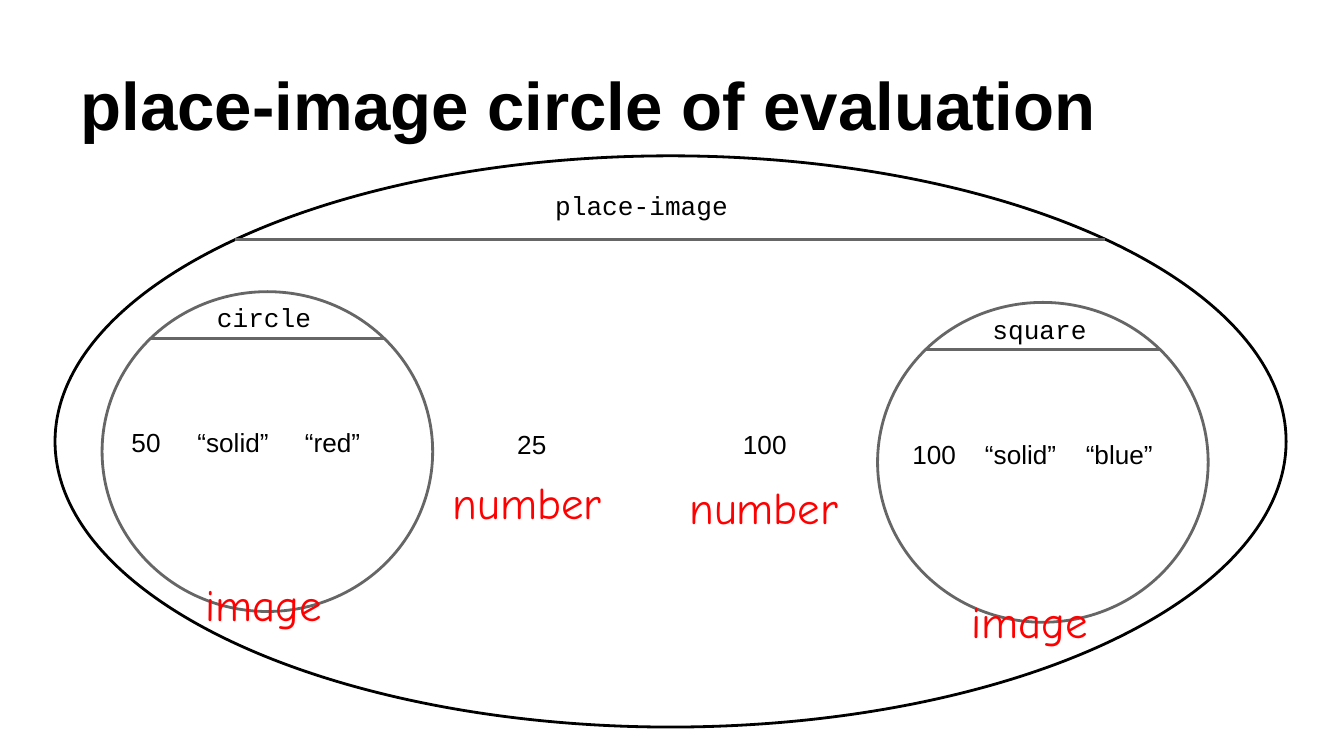
from lxml import etree
from pptx import Presentation, util as u
from pptx.dml.color import RGBColor
from pptx.enum import shapes, text
from pptx.oxml.ns import qn

presentation = Presentation()
presentation.slide_width = u.Inches(10)
presentation.slide_height = presentation.slide_width * 9 // 16
slide = presentation.slides.add_slide(presentation.slide_layouts[5])
cell = presentation.slide_width // 100  # square grid, 100 columns wide

BLACK, GRAY, RED = "000000", "666666", "FF0000"
VALUE = {"name": "Arial", "size": u.Pt(14)}
FUNCTION = {"name": "Courier New", "size": u.Pt(14)}
TYPE = {"name": "Comic Neue", "size": u.Pt(24)}


def write(shape, words, font, color, align=text.PP_ALIGN.LEFT, stops=()):
    """Fill a text shape; stops are tab positions in columns."""
    frame = shape.text_frame
    frame_format = {"word_wrap": True, "auto_size": text.MSO_AUTO_SIZE.NONE}
    for side in ("left", "top", "right", "bottom"):
        frame_format[f"margin_{side}"] = cell
    for name, value in frame_format.items():
        setattr(frame, name, value)
    paragraph = frame.paragraphs[0]
    paragraph.alignment = align
    if stops:
        tabs = etree.SubElement(paragraph._p.get_or_add_pPr(), qn("a:tabLst"))
        for stop in stops:
            etree.SubElement(tabs, qn("a:tab"), pos=str(int(stop * cell)), algn="l")
    run = paragraph.add_run()
    run.text = words
    for name, value in font.items():
        setattr(run.font, name, value)
    run.font.color.rgb = RGBColor.from_string(color)


def draw_circle(box, color, bar):
    """Draw an evaluation circle with the bar (left, right, y) under its function."""
    ellipse = slide.shapes.add_shape(shapes.MSO_SHAPE.OVAL, *[int(n * cell) for n in box])
    ellipse.shadow.inherit = False
    ellipse.fill.background()
    left, right, y = [int(n * cell) for n in bar]
    line = slide.shapes.add_connector(shapes.MSO_CONNECTOR.STRAIGHT, left, y, right, y)
    etree.SubElement(line._element.spPr, qn("a:effectLst"))
    for shape, line_color in ((ellipse, color), (line, GRAY)):
        shape.line.color.rgb = RGBColor.from_string(line_color)
        shape.line.width = u.Pt(1.5)


title = slide.shapes.title
title_box = {"left": 5, "top": 2.3, "width": 90, "height": 9.4}
for name, value in title_box.items():
    setattr(title, name, int(value * cell))
write(title, "place-image circle of evaluation",
      {"name": "Arial", "size": u.Pt(36), "bold": True}, BLACK)
title.text_frame.vertical_anchor = text.MSO_ANCHOR.BOTTOM

draw_circle((4.1, 11.6, 91.6, 42.5), BLACK, (17.5, 82.2, 17.8))
for left, top in ((7.6, 21.7), (65.3, 22.5)):
    draw_circle((left, top, 24.6, 23.8), GRAY, (left + 3.6, left + 21, top + 3.5))

CENTER, LEFT = text.PP_ALIGN.CENTER, text.PP_ALIGN.LEFT
labels = [
    ("place-image", (34.1, 13.1, 27.3, 4.7), FUNCTION, BLACK, CENTER, ()),
    ("circle", (12.7, 21.4, 13.9, 2.9), FUNCTION, BLACK, CENTER, ()),
    ("square", (70.4, 22.3, 13.9, 2.9), FUNCTION, BLACK, CENTER, ()),
    ("25", (37.5, 30.9, 5.2, 4.7), VALUE, BLACK, LEFT, ()),
    ("100", (54.3, 30.9, 6.3, 4.7), VALUE, BLACK, LEFT, ()),
    ("50\t“solid”\t“red”", (8.8, 30.7, 21.1, 4.7), VALUE, BLACK, LEFT, (4.9, 12.9)),
    ("100\t“solid”\t“blue”", (66.9, 31.6, 21.1, 4.7), VALUE, BLACK, LEFT, (5.4, 12.9)),
    ("image", (14.3, 41.9, 12.2, 6.2), TYPE, RED, LEFT, ()),
    ("image", (71.3, 43.2, 12.2, 6.2), TYPE, RED, LEFT, ()),
    ("number", (32.7, 34.3, 14.8, 6.2), TYPE, RED, LEFT, ()),
    ("number", (50.3, 34.7, 13.9, 6.2), TYPE, RED, LEFT, ()),
]
for words, box, font, color, align, stops in labels:
    label = slide.shapes.add_textbox(*[int(n * cell) for n in box])
    write(label, words, font, color, align, stops)
    if font is TYPE:
        label.text_frame.word_wrap = False

presentation.save("out.pptx")
